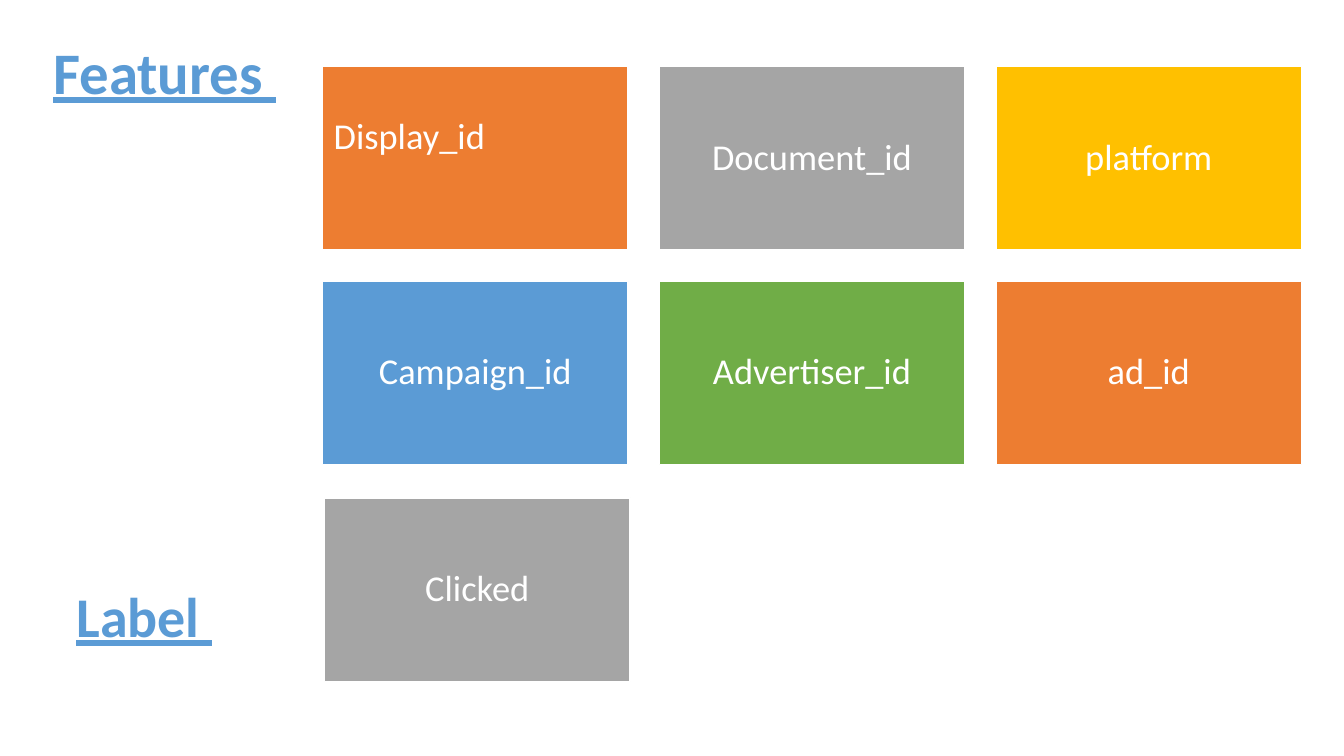
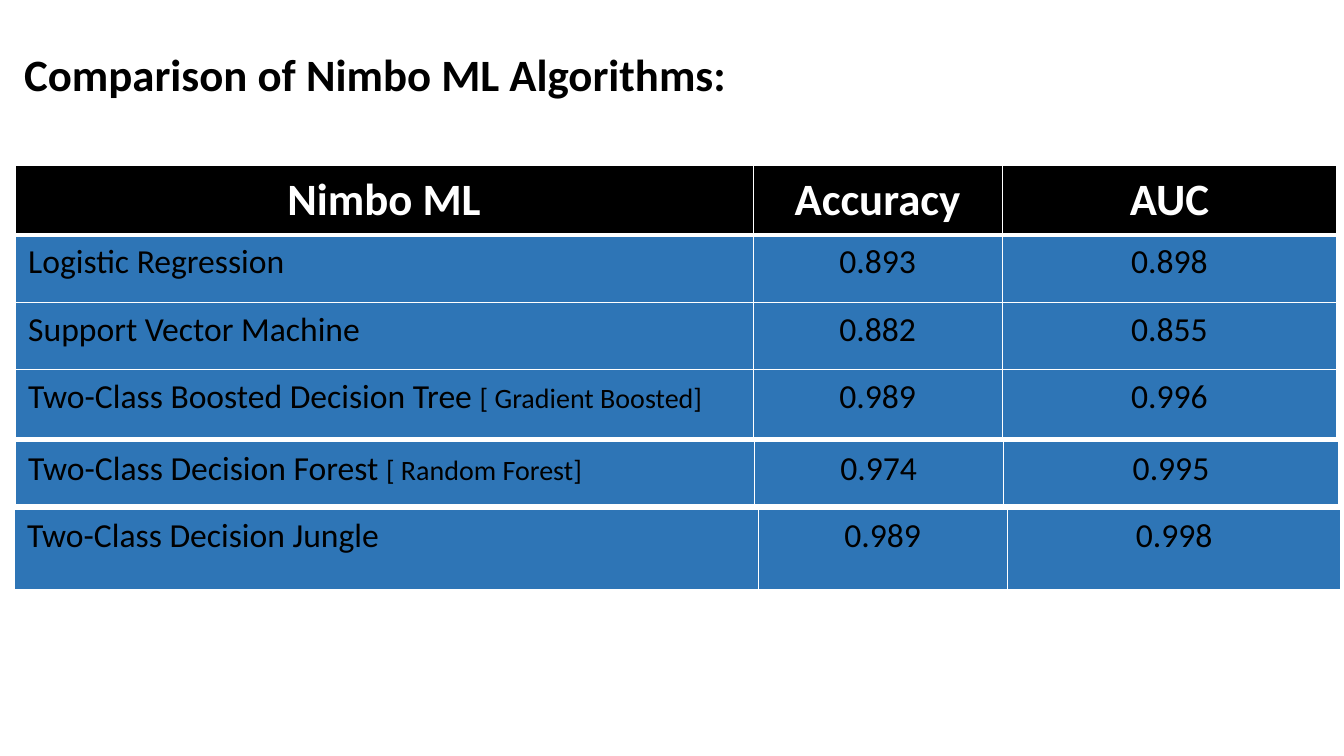
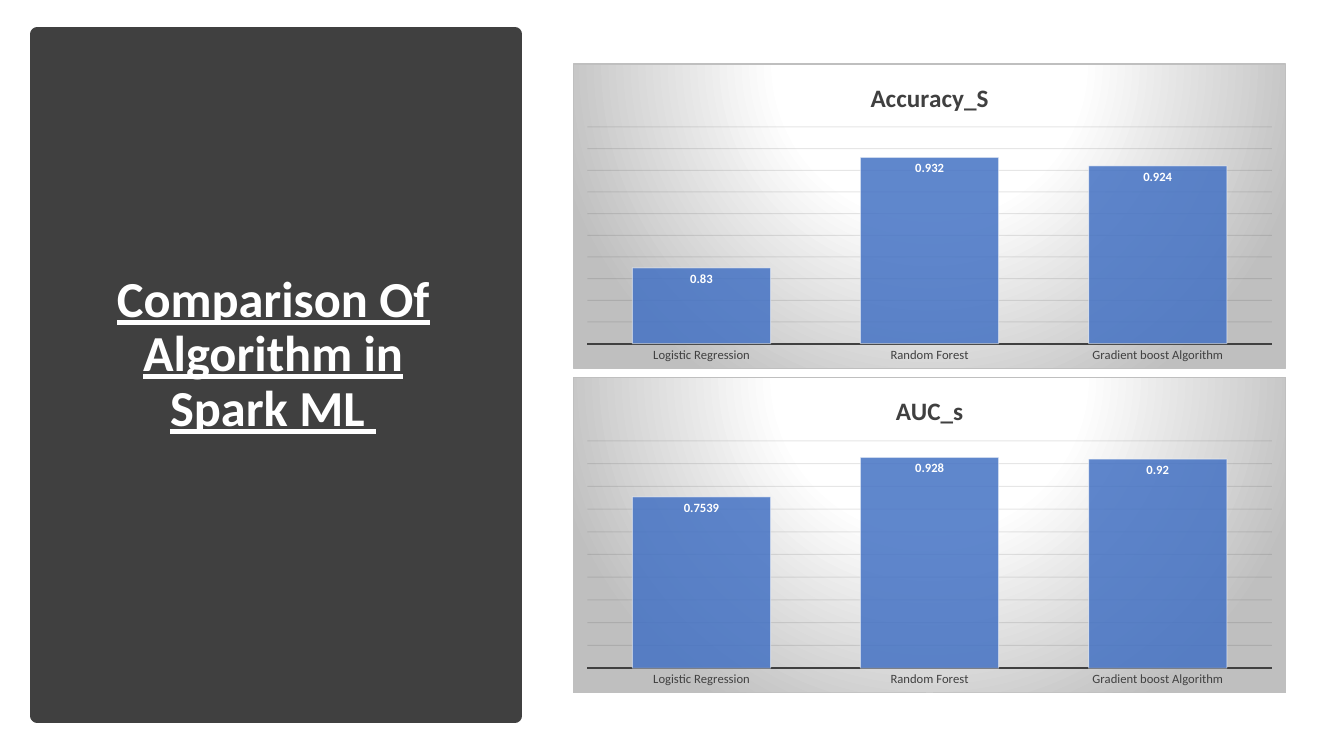
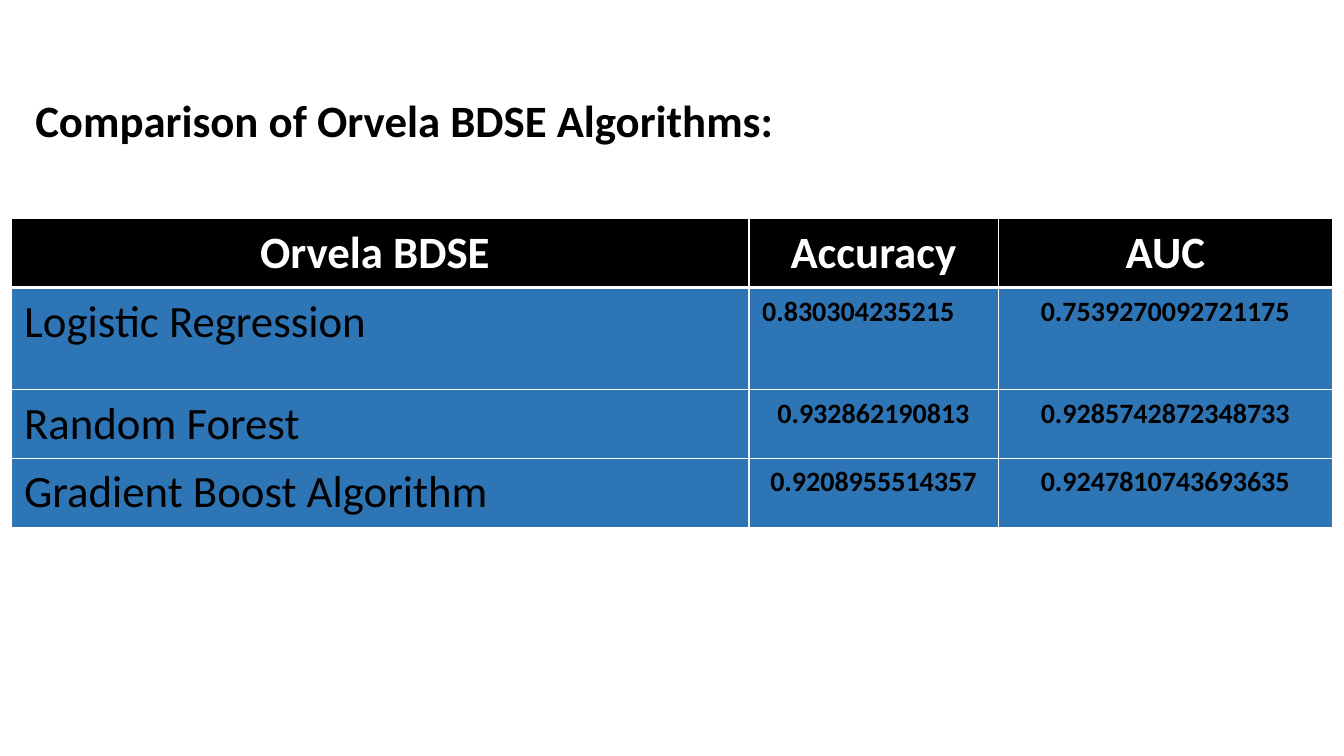
from dataclasses import dataclass

from pptx import Presentation
from pptx import util as u
from pptx.chart import data as chart_data
from pptx.dml import color
from pptx.enum import chart as ch, shapes, text
from pptx.oxml import parse_xml
from pptx.oxml import ns

PX = 9144
LEFT, CENTER = text.PP_ALIGN.LEFT, text.PP_ALIGN.CENTER
TOP, MIDDLE = text.MSO_ANCHOR.TOP, text.MSO_ANCHOR.MIDDLE


@dataclass(frozen=True)
class Theme:
    font: str = "Calibri"
    white: str = "FFFFFF"
    black: str = "000000"
    dark: str = "404040"
    orange: str = "ED7D31"
    gray: str = "A5A5A5"
    gold: str = "FFC000"
    sky: str = "5B9BD5"
    green: str = "70AD47"
    row: str = "2E75B6"
    bar: str = "4472C4"
    edge: str = "BFBFBF"
    grid: str = "0D0D0D"
    features: int = 42
    label: int = 40
    panel: int = 36
    title: int = 32
    card: int = 26
    body: int = 24
    note: int = 20
    chart_title: int = 18
    chart: int = 9


T = Theme()


def px(n):
    return u.Emu(n * PX)


def rgb(value):
    return color.RGBColor.from_string(value)


def style(font, size, fill, bold=False, underline=False):
    font.name = T.font
    font.size = u.Pt(size)
    font.bold = bold
    font.underline = underline
    font.color.rgb = rgb(fill)


def add_run(p, words, size, fill, bold=False, underline=False):
    r = p.add_run()
    r.text = words
    style(r.font, size, fill, bold, underline)


def set_line(line, fill, width):
    line.color.rgb = rgb(fill)
    line.width = u.Pt(width)


def set_margins(target, left, top, right, bottom):
    target.margin_left, target.margin_top = px(left), px(top)
    target.margin_right, target.margin_bottom = px(right), px(bottom)


def add_rect(slide, box, fill, line, width):
    s = slide.shapes.add_shape(shapes.MSO_SHAPE.RECTANGLE, *map(px, box))
    s.shadow.inherit = False
    s.fill.solid()
    s.fill.fore_color.rgb = rgb(fill)
    set_line(s.line, line, width)
    return s


def add_slide(prs, box, words, size, fill, align=LEFT, anchor=MIDDLE, underline=False):
    slide = prs.slides.add_slide(prs.slide_layouts[5])
    s = slide.shapes.title
    s.left, s.top, s.width, s.height = map(px, box)
    tf = s.text_frame
    tf.auto_size = text.MSO_AUTO_SIZE.NONE
    tf.word_wrap = True
    tf.vertical_anchor = anchor
    p = tf.paragraphs[0]
    p.alignment, p.line_spacing = align, 0.9
    add_run(p, words, size, fill, True, underline)
    return slide


def add_card(slide, box, words, fill, align=CENTER, bottom=11):
    tf = add_rect(slide, box, fill, T.white, 1).text_frame
    tf.word_wrap = True
    tf.vertical_anchor = MIDDLE
    set_margins(tf, 11, 11, 11, bottom)
    p = tf.paragraphs[0]
    p.alignment, p.line_spacing = align, 0.9
    add_run(p, words, T.card, T.white)


def add_label(slide, box, words):
    tf = slide.shapes.add_textbox(*map(px, box)).text_frame
    tf.word_wrap = True
    add_run(tf.paragraphs[0], words, T.label, T.sky, True, True)


def set_borders(cell, top, bottom):
    tc_pr = cell._tc.get_or_add_tcPr()
    for side, width in (("L", 1), ("R", 1), ("T", top), ("B", bottom)):
        tc_pr.append(parse_xml(
            f'<a:ln{side} {ns.nsdecls("a")} w="{u.Pt(width)}"><a:solidFill>'
            f'<a:srgbClr val="{T.white}"/></a:solidFill></a:ln{side}>'))


def add_results(slide, left, top, widths, heights, rows, header=False,
                name_size=T.body, value_size=T.body, value_bold=False, left_cells=()):
    box = (left, top, sum(widths), sum(heights))
    table = slide.shapes.add_table(len(rows), len(widths), *map(px, box)).table
    table.first_row = table.horz_banding = False
    for column, width in zip(table.columns, widths):
        column.width = px(width)
    for i, (row, height) in enumerate(zip(rows, heights)):
        table.rows[i].height = px(height)
        head = header and i == 0
        for j, words in enumerate(row):
            cell = table.cell(i, j)
            set_margins(cell, 13, 7, 13, 7)
            set_borders(cell, 3 if i == 1 else 1, 3 if i == 0 else 1)
            cell.fill.solid()
            cell.fill.fore_color.rgb = rgb(T.black if head else T.row)
            p = cell.text_frame.paragraphs[0]
            is_name = j == 0 and not head
            p.alignment = LEFT if is_name or (i, j) in left_cells else CENTER
            if head:
                add_run(p, words, T.title, T.white, True)
            elif is_name:
                name, bracket, note = words.partition("[")
                add_run(p, name, name_size, T.black)
                if note:
                    add_run(p, bracket + note, T.note, T.black)
            else:
                add_run(p, words, value_size, T.black, value_bold)


def set_alpha(chart, query, percent):
    for node in chart.element.xpath(query):
        node.append(parse_xml(f'<a:alpha {ns.nsdecls("a")} val="{percent * 1000}"/>'))


def set_chart_area(chart):
    stops = "".join(f'<a:gs pos="{at * 1000}"><a:srgbClr val="{c}"/></a:gs>'
                    for at, c in ((0, T.white), (39, T.white), (100, T.edge)))
    chart.element.find(ns.qn("c:chart")).addnext(parse_xml(
        f'<c:spPr {ns.nsdecls("c", "a")}><a:gradFill><a:gsLst>{stops}</a:gsLst>'
        '<a:path path="circle"><a:fillToRect l="50000" t="-80000" r="50000" b="180000"/>'
        f'</a:path></a:gradFill><a:ln w="{u.Pt(0.75)}"><a:solidFill>'
        f'<a:srgbClr val="{T.edge}"/></a:solidFill></a:ln></c:spPr>'))


def add_score_chart(slide, box, name, algorithms, scores, low, high, step):
    source = chart_data.CategoryChartData()
    source.categories = algorithms
    source.add_series(name, scores)
    chart = slide.shapes.add_chart(
        ch.XL_CHART_TYPE.COLUMN_CLUSTERED, *map(px, box), source).chart
    style(chart.font, 10, T.black)
    set_chart_area(chart)
    chart.has_legend = False
    chart.has_title = True
    add_run(chart.chart_title.text_frame.paragraphs[0], name, T.chart_title, T.dark, True)

    axis = chart.category_axis
    axis.major_tick_mark = ch.XL_TICK_MARK.NONE
    style(axis.tick_labels.font, T.chart, T.dark)
    set_line(axis.format.line, T.dark, 1.5)
    axis = chart.value_axis
    axis.minimum_scale, axis.maximum_scale, axis.major_unit = low, high, step
    axis.visible = False
    axis.has_major_gridlines = True
    set_line(axis.major_gridlines.format.line, T.grid, 0.75)

    plot = chart.plots[0]
    plot.gap_width = 65
    plot.vary_by_categories = False
    bars = plot.series[0]
    bars.format.fill.solid()
    bars.format.fill.fore_color.rgb = rgb(T.bar)
    set_line(bars.format.line, T.white, 0.75)
    labels = bars.data_labels
    labels.show_value = True
    labels.position = ch.XL_LABEL_POSITION.INSIDE_END
    style(labels.font, T.chart, T.white, True)
    set_alpha(chart, ".//c:ser/c:spPr/a:solidFill/a:srgbClr", 85)
    set_alpha(chart, ".//c:ser/c:spPr/a:ln//a:srgbClr", 50)
    set_alpha(chart, ".//c:majorGridlines//a:srgbClr", 10)


def features_slide(prs):
    slide = add_slide(prs, (43, 35, 1248, 145), "Features ", T.features, T.sky,
                      anchor=TOP, underline=True)
    slide.shapes.title.text_frame.margin_top = px(8)
    left, top, width, height, gap = 320, 66, 303, 182, 31
    cards = (("Display_id", T.orange), ("Document_id", T.gray), ("platform", T.gold),
             ("Campaign_id", T.sky), ("Advertiser_id", T.green), ("ad_id", T.orange))
    for i, (words, fill) in enumerate(cards):
        row, col = divmod(i, 3)
        box = (left + col * (width + gap), top + row * (height + gap), width, height)
        align, bottom = (LEFT, 51) if i == 0 else (CENTER, 11)
        add_card(slide, box, words, fill, align, bottom)
    add_card(slide, (322, 494, width, height), "Clicked", T.gray)
    add_label(slide, (66, 572, 225, 77), "Label ")


def hosted_slide(prs):
    slide = add_slide(prs, (14, 34, 1204, 85), "Comparison of Nimbo ML Algorithms:",
                      T.title, T.black)
    add_results(slide, 15, 164, (732, 247, 332), (69, 67, 67, 67), (
        ("Nimbo ML", "Accuracy", "AUC"),
        ("Logistic Regression", "0.893", "0.898"),
        ("Support Vector Machine", "0.882", "0.855"),
        ("Two-Class Boosted Decision Tree [ Gradient Boosted]", "0.989", "0.996"),
    ), header=True)
    add_results(slide, 15, 438, (733, 247, 333), (64,), (
        ("Two-Class Decision Forest [ Random Forest]", "0.974", "0.995"),))
    add_results(slide, 14, 505, (738, 247, 331), (81,), (
        ("Two-Class Decision Jungle", "0.989", "0.998"),))


def spark_slide(prs):
    slide = add_slide(prs, (81, 81, 380, 543), "Comparison Of Algorithm in Spark ML ",
                      T.panel, T.white, align=CENTER, underline=True)
    panel = add_rect(slide, (37, 34, 474, 676), T.dark, T.dark, 10)
    slide.shapes.title.element.addprevious(panel.element)
    algorithms = ("Logistic Regression", "Random Forest", "Gradient boost Algorithm")
    add_score_chart(slide, (568, 63, 708, 303), "Accuracy_S", algorithms,
                    (0.83, 0.932, 0.924), 0.76, 0.96, 0.02)
    add_score_chart(slide, (568, 374, 708, 314), "AUC_s", algorithms,
                    (0.7539, 0.928, 0.92), 0, 1, 0.1)


def big_data_slide(prs):
    slide = add_slide(prs, (25, 80, 1204, 85), "Comparison of Orvela BDSE Algorithms:",
                      T.title, T.black)
    add_results(slide, 11, 217, (732, 247, 332), (67, 101, 67, 67), (
        ("Orvela BDSE ", "Accuracy", "AUC"),
        ("Logistic Regression", "0.830304235215", "0.7539270092721175"),
        ("Random Forest", "0.932862190813", "0.9285742872348733"),
        ("Gradient Boost Algorithm", "0.9208955514357", "0.9247810743693635"),
    ), header=True, name_size=T.title, value_size=T.note, value_bold=True,
        left_cells=((1, 1),))


def main():
    prs = Presentation()
    prs.slide_width, prs.slide_height = px(1333), px(750)
    for build in (features_slide, hosted_slide, spark_slide, big_data_slide):
        build(prs)
    prs.save("out.pptx")


if __name__ == "__main__":
    main()
